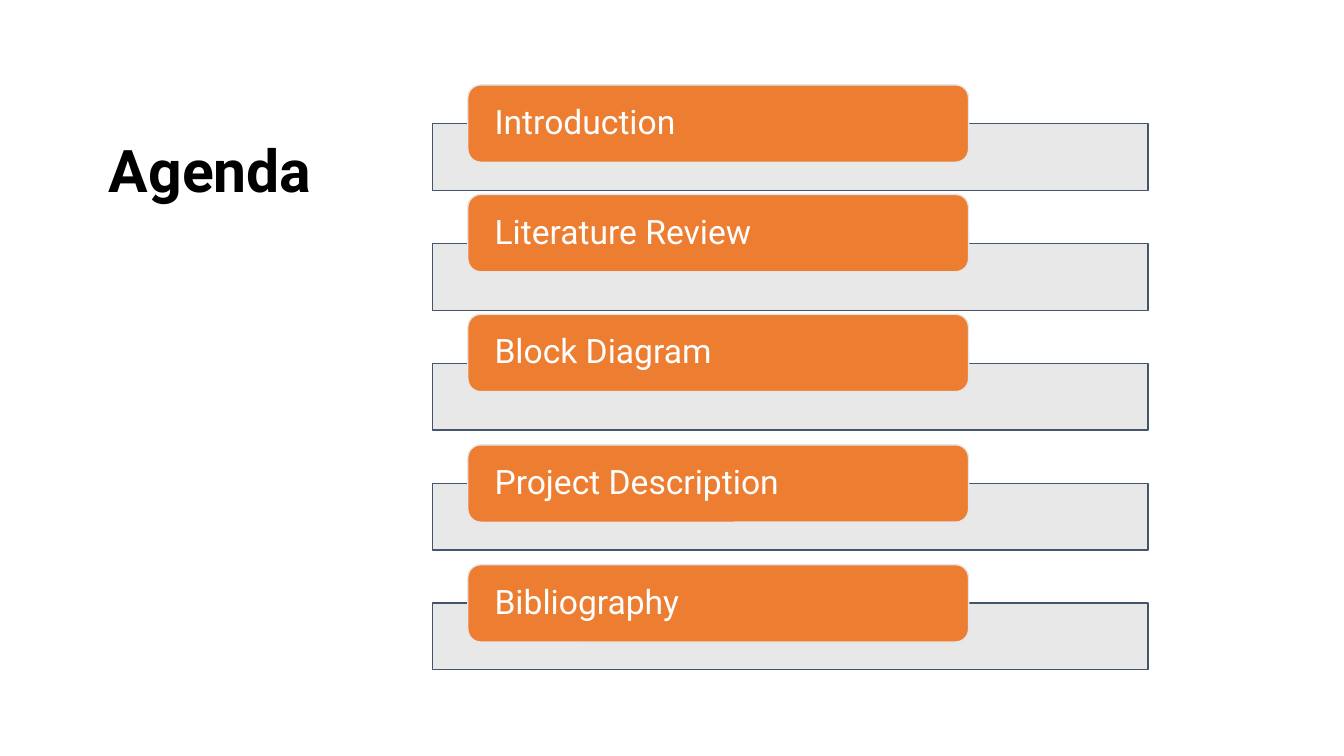
from dataclasses import dataclass

from lxml import etree
from pptx import Presentation
from pptx import util as u
from pptx.dml.color import RGBColor
from pptx.enum import shapes, text
from pptx.oxml import ns

TITLE = "Agenda"
TOPICS = [
    ("Introduction", 0.98),
    ("Literature Review", 1.24),
    ("Block Diagram", 1.24),
    ("Project Description", 0.97),
    ("Bibliography", 0.97),
]


@dataclass(frozen=True)
class Theme:
    font: str = "Roboto"
    title_size: int = 42
    label_size: int = 24
    line_width: int = 1
    title: str = "000000"
    label: str = "FFFFFF"
    bar: str = "E7E6E6"
    bar_line: str = "44546A"
    accent: str = "ED7D31"
    bar_opacity: int = 90


THEME = Theme()
BAR_LEFT, BAR_TOP, BAR_W, BAR_H = 10.9, 3.12, 18.03, 1.68
BAR_PITCH = 3.02
LABEL_LEFT, LABEL_W, LABEL_H = 11.79, 12.62, 1.95
LABEL_INSET = 0.58


def add_box(s, kind, box, fill, line):
    sp = s.shapes.add_shape(kind, *map(u.Cm, box))
    sp.shadow.inherit = False
    sp.fill.solid()
    sp.fill.fore_color.rgb = RGBColor.from_string(fill)
    sp.line.color.rgb = RGBColor.from_string(line)
    sp.line.width = u.Pt(THEME.line_width)
    return sp


def set_opacity(sp, percent):
    color = sp.fill._xPr.find(ns.qn("a:solidFill"))[0]
    etree.SubElement(color, ns.qn("a:alpha"), val=str(percent * 1000))


def write(tf, content, size, color, bold=False):
    p = tf.paragraphs[0]
    p.alignment = text.PP_ALIGN.LEFT
    p.line_spacing = 0.9
    p.space_before = u.Pt(0)
    r = p.add_run()
    r.text = content
    r.font.name = THEME.font
    r.font.size = u.Pt(size)
    r.font.bold = bold
    r.font.color.rgb = RGBColor.from_string(color)


def add_title(s):
    sp = s.shapes.title
    sp.left, sp.top, sp.width, sp.height = map(u.Cm, (2.49, 3.45, 16.79, 1.88))
    tf = sp.text_frame
    tf.word_wrap = True
    tf.auto_size = text.MSO_AUTO_SIZE.NONE
    tf.vertical_anchor = text.MSO_ANCHOR.TOP
    write(tf, TITLE, THEME.title_size, THEME.title, bold=True)


def add_topic(s, index, topic, rise):
    top = BAR_TOP + index * BAR_PITCH
    bar = add_box(s, shapes.MSO_SHAPE.RECTANGLE,
                  (BAR_LEFT, top, BAR_W, BAR_H), THEME.bar, THEME.bar_line)
    set_opacity(bar, THEME.bar_opacity)
    label = add_box(s, shapes.MSO_SHAPE.ROUNDED_RECTANGLE,
                    (LABEL_LEFT, top - rise, LABEL_W, LABEL_H), THEME.accent, THEME.bar)
    tf = label.text_frame
    tf.word_wrap = True
    tf.vertical_anchor = text.MSO_ANCHOR.MIDDLE
    tf.margin_left = tf.margin_right = u.Cm(LABEL_INSET)
    tf.margin_top = tf.margin_bottom = 0
    write(tf, topic, THEME.label_size, THEME.label)


def main():
    prs = Presentation()
    prs.slide_width, prs.slide_height = u.Cm(33.87), u.Cm(19.05)
    s = prs.slides.add_slide(prs.slide_layouts.get_by_name("Title Only"))
    add_title(s)
    for index, (topic, rise) in enumerate(TOPICS):
        add_topic(s, index, topic, rise)
    prs.save("out.pptx")


if __name__ == "__main__":
    main()
